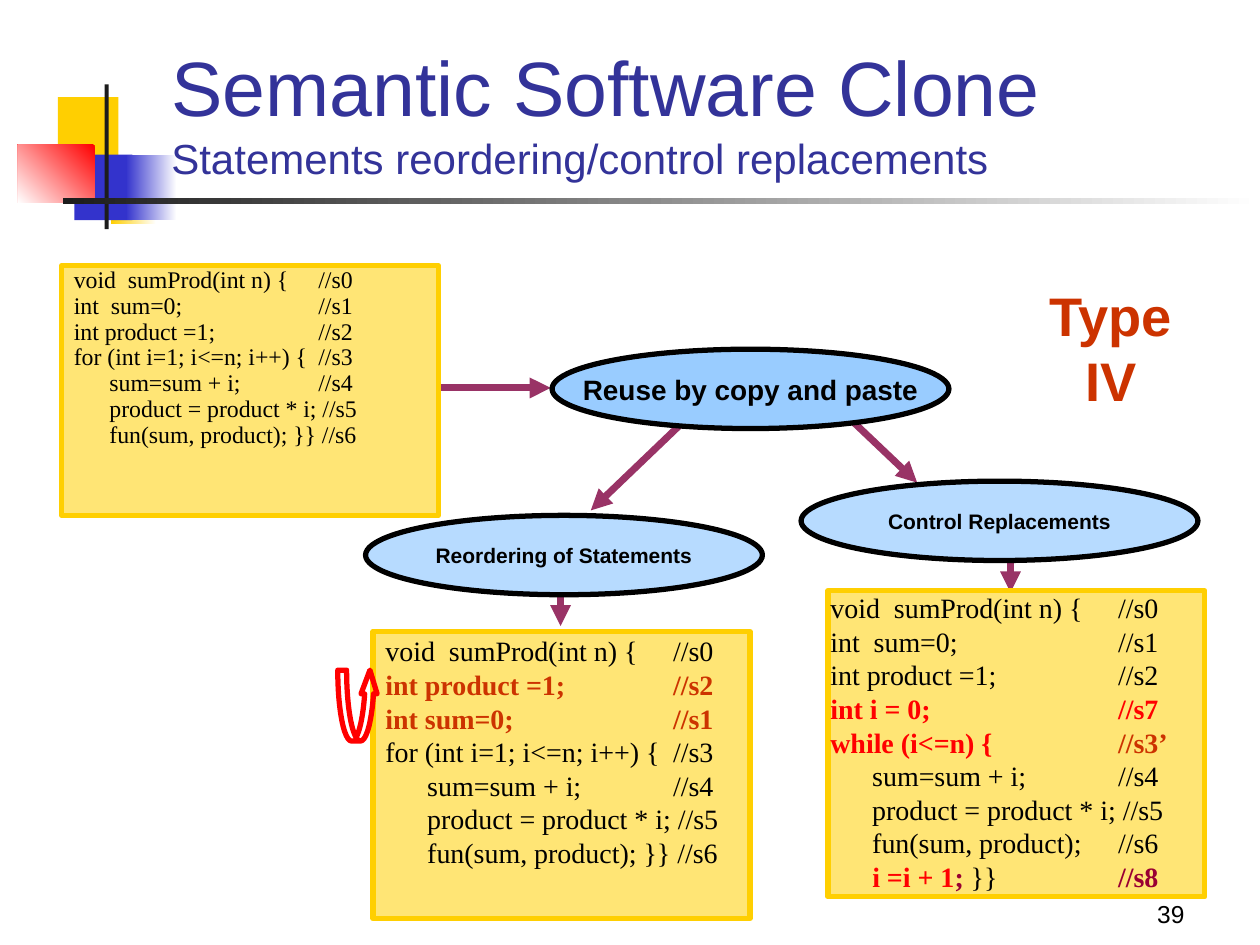
from lxml import etree
from pptx import Presentation
from pptx.dml.color import RGBColor
from pptx.enum.shapes import MSO_CONNECTOR, MSO_SHAPE
from pptx.enum.text import MSO_ANCHOR as Anchor, MSO_AUTO_SIZE, PP_ALIGN as Align
from pptx.oxml.ns import qn
from pptx.util import Cm, Pt

COLORS = {
    "black": "000000", "white": "FFFFFF", "charcoal": "1C1C1C", "gold": "FFCF01",
    "blue": "3333CC", "title": "333399", "red": "FF0000", "rust": "CC3300",
    "wine": "990033", "plum": "993366", "sky": "99CCFF",
}

# Content: a code line is a list of (text, color) runs; coloured runs are bold
TITLE = [("Semantic Software Clone", 44),
         ("Statements reordering/control replacements", 24)]
PAGE_NUMBER = "39"
CLONE_TYPE = "Type IV"


def plain(*lines):
    return [[(line, "black")] for line in lines]


HEADER = plain("void  sumProd(int n) {\t//s0")
SUM = plain("int  sum=0;\t//s1")
PRODUCT = plain("int product =1;\t//s2")
LOOP = plain("for (int i=1; i<=n; i++) {\t//s3")
BODY = plain("      sum=sum + i;\t//s4", "      product = product * i; //s5")
CALL_END = plain("      fun(sum, product); }} //s6")

ORIGINAL_CODE = HEADER + SUM + PRODUCT + LOOP + BODY + CALL_END
REORDERED_CODE = (
    HEADER
    + [[("int product =1;\t//s2", "rust")], [("int sum=0;\t//s1", "rust")]]
    + LOOP + BODY + CALL_END
)
REPLACED_CODE = (
    HEADER + SUM + PRODUCT
    + [[("int i = 0;\t//s7", "red")],
       [("while (i<=n) {", "red"), ("\t//s3’", "rust")]]
    + BODY + plain("      fun(sum, product);\t//s6")
    + [[("      ", "black"), ("i =i + 1", "red"), (";", "wine"),
        (" }}\t", "black"), ("//s8", "wine")]]
)

# Geometry in centimetres
BOX_WIDTH = 7.6
CODE_BOXES = [  # left, top, height, side inset, top inset, size, spacing, code
    (1.24, 5.36, 5.03, 0.25, 0.05, 13.6, 0.9, ORIGINAL_CODE),
    (7.52, 12.73, 5.79, 0.25, 0.05, 16, 1.0, REORDERED_CODE),
    (16.69, 11.91, 6.17, 0.05, 0, 16, 1.0, REPLACED_CODE),
]
COMMENT_TAB = 0.3625  # comment column, per point of text size
STEP_SIZE = (8, 1.6)
STEPS = [  # left, top, text size, opacity, label
    (7.37, 10.39, 12, 70, "Reordering of Statements"),
    (11.13, 7.04, 16, 100, "Reuse by copy and paste"),
    (16.15, 9.7, 12, 70, "Control Replacements"),
]
ARROWS = [  # from x, y, to x, y
    (8.89, 7.82, 11.1, 7.82), (14.3, 8, 11.91, 10.29), (16.51, 7.85, 18.49, 9.73),
    (11.3, 12.04, 11.3, 12.62), (20.37, 11.35, 20.37, 11.94),
]
ORNAMENTS = [  # left, top, width, height, color, gradient (start, end, angle)
    (1.17, 1.96, 1.22, 1.32, "gold", None),
    (2.24, 3.2, 0.91, 1.32, None, ("white", "gold", 180)),
    (1.5, 3.12, 1.17, 1.32, "blue", None),
    (2.54, 3.12, 1.02, 1.32, None, ("white", "blue", 180)),
    (0.36, 2.92, 1.55, 1.17, None, ("red", "white", 225)),
    (2.11, 1.7, 0.08, 2.92, "charcoal", None),
    (1.27, 3.99, 24.13, 0.12, None, ("white", "charcoal", 180)),
]


def rgb(color):
    return RGBColor.from_string(COLORS[color])


def add_run(paragraph, text, size, color, font="Arial", bold=False):
    run = paragraph.add_run()
    run.text = text
    run.font.size, run.font.name, run.font.bold = Pt(size), font, bold
    run.font.color.rgb = rgb(color)


def add_shape(kind, left, top, width, height, fill=None, line=None, opacity=100):
    shape = slide.shapes.add_shape(kind, Cm(left), Cm(top), Cm(width), Cm(height))
    shape.shadow.inherit = False
    if fill:
        shape.fill.solid()
        shape.fill.fore_color.rgb = rgb(fill)
        if opacity < 100:
            tint = shape.fill._xPr.find(".//" + qn("a:srgbClr"))
            etree.SubElement(tint, qn("a:alpha"), val=str(opacity * 1000))
    else:
        shape.fill.background()
    if line:
        shape.line.color.rgb = rgb(line)
        shape.line.width = Pt(3)
    else:
        shape.line.fill.background()
    return shape


def add_label(left, top, width, height, text, size, color, align, anchor, bold=False):
    frame = slide.shapes.add_textbox(Cm(left), Cm(top), Cm(width), Cm(height)).text_frame
    frame.word_wrap = False
    frame.vertical_anchor = anchor
    frame.paragraphs[0].alignment = align
    add_run(frame.paragraphs[0], text, size, color, bold=bold)


def add_arrow(x1, y1, x2, y2):
    arrow = slide.shapes.add_connector(
        MSO_CONNECTOR.STRAIGHT, Cm(x1), Cm(y1), Cm(x2), Cm(y2))
    arrow.line.color.rgb = rgb("plum")
    arrow.line.width = Pt(4)
    etree.SubElement(arrow.line._get_or_add_ln(), qn("a:tailEnd"), type="triangle")
    etree.SubElement(arrow._element.spPr, qn("a:effectLst"))


def add_code_box(left, top, height, side, inset, size, spacing, code):
    box = add_shape(MSO_SHAPE.RECTANGLE, left, top, BOX_WIDTH, height, "gold", "gold", 54)
    frame = box.text_frame
    frame.word_wrap = True
    frame.vertical_anchor = Anchor.TOP
    frame.margin_left = frame.margin_right = Cm(side)
    frame.margin_top = frame.margin_bottom = Cm(inset)
    for index, runs in enumerate(code):
        paragraph = frame.add_paragraph() if index else frame.paragraphs[0]
        paragraph.alignment = Align.LEFT
        paragraph.line_spacing = spacing
        tabs = etree.SubElement(paragraph._p.get_or_add_pPr(), qn("a:tabLst"))
        etree.SubElement(tabs, qn("a:tab"), pos=str(Cm(size * COMMENT_TAB)), algn="l")
        for text, color in runs:
            add_run(paragraph, text, size, color, "Times New Roman", color != "black")


presentation = Presentation()
presentation.slide_width, presentation.slide_height = Cm(25.4), Cm(19.05)
slide = presentation.slides.add_slide(presentation.slide_layouts[5])

# Corner ornament and rule
for *place, color, gradient in ORNAMENTS:
    ornament = add_shape(MSO_SHAPE.RECTANGLE, *place, color)
    if gradient:
        start, end, angle = gradient
        ornament.fill.gradient()
        ornament.fill.gradient_angle = angle
        for stop, position, tone in zip(ornament.fill.gradient_stops, (0, 1), (start, end)):
            stop.position = position
            stop.color.rgb = rgb(tone)

# Title, brought in front of the ornament
title = slide.shapes.title
slide.shapes._spTree.append(title._element)
title.left, title.top, title.width, title.height = Cm(3.2), Cm(0.33), Cm(21.64), Cm(3.48)
title.text_frame.auto_size = MSO_AUTO_SIZE.NONE
title.text_frame.vertical_anchor = Anchor.BOTTOM
heading = title.text_frame.paragraphs[0]
heading.alignment = Align.LEFT
for index, (text, size) in enumerate(TITLE):
    if index:
        heading.add_line_break()
    add_run(heading, text, size, "title")

# Flow: arrows, code versions, steps
for arrow in ARROWS:
    add_arrow(*arrow)
for code_box in CODE_BOXES:
    add_code_box(*code_box)
for left, top, size, opacity, label in STEPS:
    step = add_shape(MSO_SHAPE.OVAL, left, top, *STEP_SIZE, "sky", "black", opacity)
    step.text_frame.word_wrap = False
    step.text_frame.vertical_anchor = Anchor.MIDDLE
    step.text_frame.paragraphs[0].alignment = Align.CENTER
    add_run(step.text_frame.paragraphs[0], label, size, "black", bold=True)

# Swap arrow beside the reordered lines
swap = add_shape(MSO_SHAPE.CURVED_UP_ARROW, 6.81, 13.51, 0.81, 1.43, line="red")
for index, ratio in enumerate((0.22, 0.4, 0.59)):
    swap.adjustments[index] = ratio

# Clone type and page number
add_label(20.3, 5.8, 4.19, 2.41, CLONE_TYPE, 31, "rust", Align.CENTER, Anchor.MIDDLE, True)
add_label(18.85, 17.58, 5.28, 1.27, PAGE_NUMBER, 14, "black", Align.RIGHT, Anchor.BOTTOM)

presentation.save("out.pptx")
